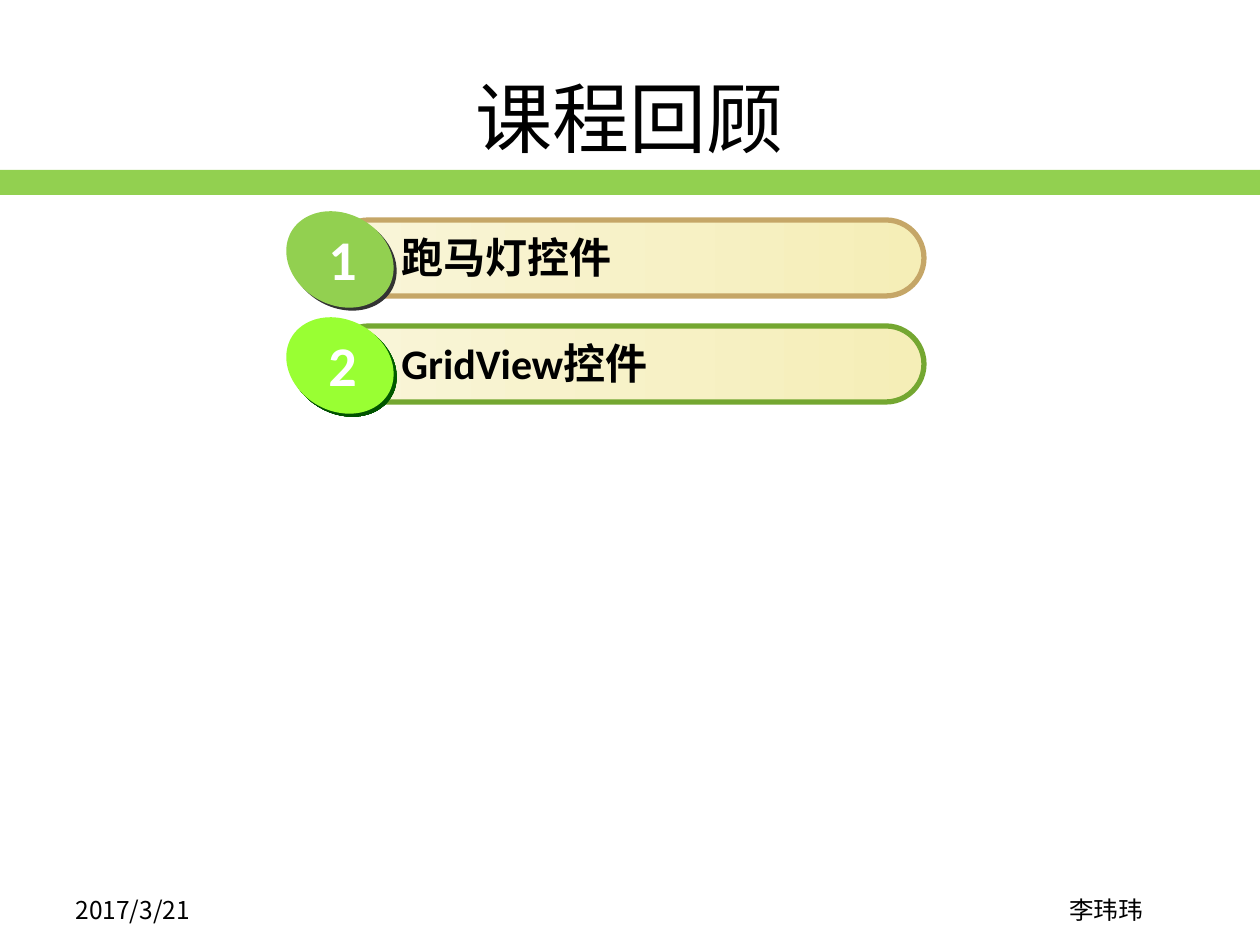
from lxml import etree
from pptx import Presentation, util as u
from pptx.dml.color import RGBColor
from pptx.enum import shapes, text
from pptx.oxml.ns import qn

EMU_PER_PX = 914400 / 126
CJK_FONT = "Noto Sans CJK SC"
LATIN_FONT = "Calibri"

BLACK = RGBColor(0x00, 0x00, 0x00)
WHITE = RGBColor(0xFF, 0xFF, 0xFF)
GREEN = RGBColor(0x92, 0xD0, 0x50)
LIME = RGBColor(0x99, 0xFF, 0x33)
CHARCOAL = RGBColor(0x33, 0x33, 0x33)
FOREST = RGBColor(0x00, 0x66, 0x00)
DARK_FOREST = RGBColor(0x00, 0x49, 0x00)
TAN = RGBColor(0xC5, 0xA6, 0x67)
LEAF = RGBColor(0x74, 0xA7, 0x31)
CREAM = RGBColor(0xF9, 0xF5, 0xD9)
SAND = RGBColor(0xF5, 0xEE, 0xB7)

# number, label, pill outline, disc colour, colours of the disc's edge
TOPICS = [
    ("1", "跑马灯控件", TAN, GREEN, [CHARCOAL]),
    ("2", "GridView控件", LEAF, LIME, [FOREST, DARK_FOREST]),
]


def px(value):
    return u.Emu(round(value * EMU_PER_PX))


def fill_shape(shape, colors, angle=0):
    """Fill with one solid colour, or with a linear gradient between two."""
    if len(colors) == 1:
        shape.fill.solid()
        shape.fill.fore_color.rgb = colors[0]
        return
    shape.fill.gradient()
    shape.fill.gradient_angle = angle
    for stop, color in zip(shape.fill.gradient_stops, colors):
        stop.color.rgb = color


def add_shape(parent, kind, box, colors, angle=0):
    shape = parent.add_shape(kind, *map(px, box))
    shape.shadow.inherit = False
    fill_shape(shape, colors, angle)
    shape.line.fill.background()
    return shape


def add_text(parent, box, content, size, font=CJK_FONT, color=BLACK, bold=False,
             align=text.PP_ALIGN.LEFT, anchor=text.MSO_ANCHOR.TOP, wrap=True):
    frame = parent.add_textbox(*map(px, box)).text_frame
    frame.word_wrap = wrap
    frame.vertical_anchor = anchor
    paragraph = frame.paragraphs[0]
    paragraph.alignment = align
    run = paragraph.add_run()
    run.text = content
    run.font.size = u.Pt(size)
    run.font.bold = bold
    run.font.color.rgb = color
    run.font.name = font
    etree.SubElement(run.font._element, qn("a:ea"), typeface=CJK_FONT)


def add_header(slide, left, top, width):
    add_shape(slide.shapes, shapes.MSO_SHAPE.RECTANGLE,
              (left, top + 170, width, 25), [GREEN])
    add_text(slide.shapes, (left + 63, top + 38, width - 126, 158), "课程回顾", 44,
             align=text.PP_ALIGN.CENTER, anchor=text.MSO_ANCHOR.MIDDLE)


def add_topic(slide, left, top, topic):
    """Add a pill-shaped label with a numbered, tilted disc at its left end."""
    number, label, outline, disc_color, edge_colors = topic
    group = slide.shapes.add_group_shape().shapes

    pill = add_shape(group, shapes.MSO_SHAPE.ROUNDED_RECTANGLE,
                     (left + 47, top + 6, 593, 76), [CREAM, SAND])
    pill.adjustments[0] = 0.5
    pill.line.color.rgb = outline
    pill.line.width = u.Pt(3)
    add_text(group, (left + 105, top + 11, 472, 64), label, 24, LATIN_FONT, bold=True)

    for offset, colors in ((3, edge_colors), (0, [disc_color])):
        disc = add_shape(group, shapes.MSO_SHAPE.OVAL,
                         (left + offset, top + offset, 112, 91), colors, angle=270)
        disc.rotation = 29.3
    add_text(group, (left + 32, top + 4, 57, 79), number, 32, LATIN_FONT, WHITE,
             bold=True, wrap=False)


def add_footer(slide, left, top, width):
    add_text(slide.shapes, (left, top, 180, 43), "2017/3/21", 14)
    add_text(slide.shapes, (left + width - 118, top, 118, 43), "李玮玮", 14,
             align=text.PP_ALIGN.CENTER)


def main():
    presentation = Presentation()
    presentation.slide_width = px(1260)
    presentation.slide_height = px(945)
    slide = presentation.slides.add_slide(presentation.slide_layouts[6])

    add_footer(slide, 63, 889, 1102)
    add_header(slide, 0, 0, 1260)
    for row, topic in enumerate(TOPICS):
        add_topic(slide, 284, 214 + row * 106, topic)

    presentation.save("out.pptx")


if __name__ == "__main__":
    main()
